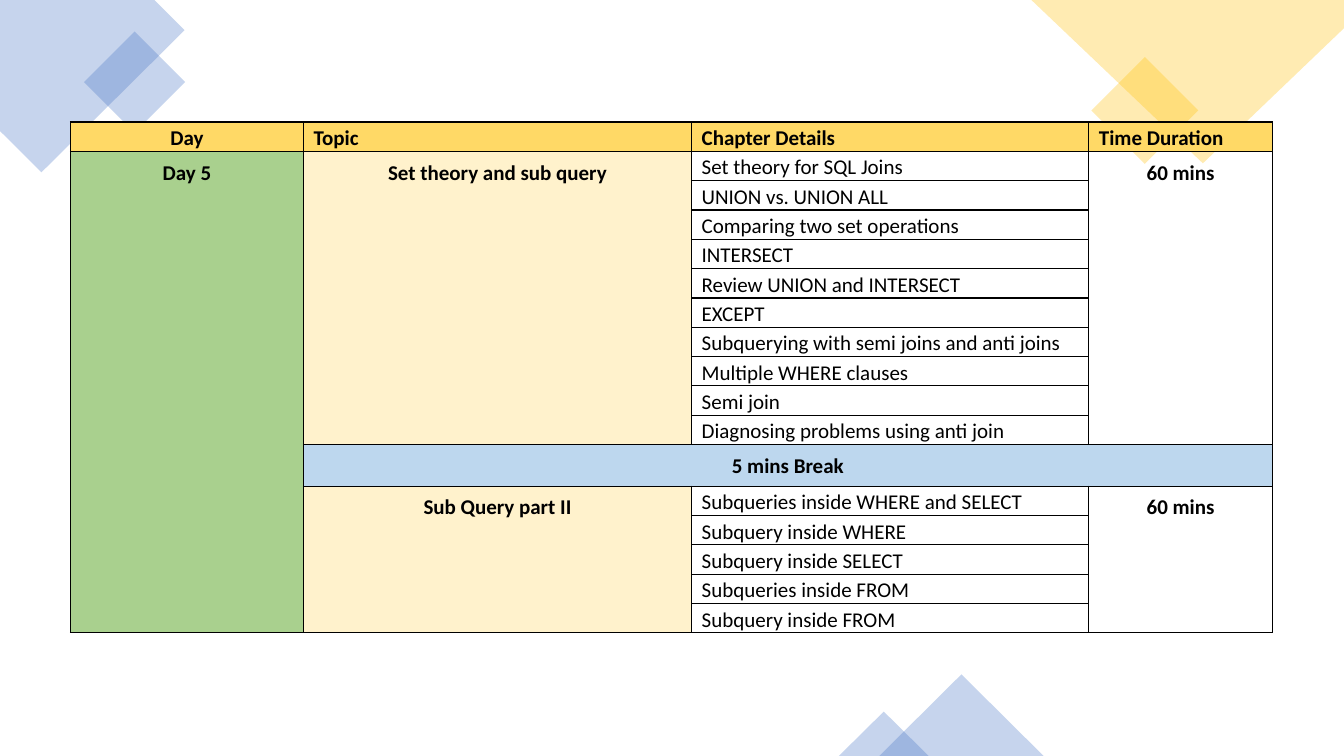
from dataclasses import dataclass

from lxml import etree
from pptx import Presentation
from pptx import util as u
from pptx.dml.color import RGBColor
from pptx.enum import shapes, text
from pptx.oxml.ns import qn

WIDTH, HEIGHT = u.Inches(13.33), u.Inches(7.5)
BLUE, GOLD, BLACK = "4472C4", "FFC000", "000000"
HEADER, GREEN, CREAM, BREAK = "FFD966", "A9D08E", "FFF2CC", "BDD7EE"


@dataclass
class Decoration:
    """Preset shape placed by percentages of the slide's size."""
    kind: int
    left: float
    top: float
    width: float
    height: float
    colour: str
    rotation: float = 0


@dataclass
class Outline:
    """Polygon whose corners are percentages of the slide's size."""
    corners: list[tuple[float, float]]
    colour: str


@dataclass
class Session:
    """One block of the timetable, with a row for each chapter."""
    topic: str
    duration: str
    chapters: list[str]


SQUARE = shapes.MSO_SHAPE.RECTANGLE
TRIANGLE = shapes.MSO_SHAPE.ISOSCELES_TRIANGLE
DECORATIONS = [
    Outline([(0, 0), (11.48, 0), (13.73, 4), (3.08, 22.8), (0, 17.33)], BLUE),
    Decoration(SQUARE, 7.35, 6.13, 5.33, 9.47, BLUE, 315),
    Decoration(SQUARE, 82.37, 9.6, 5.63, 10, GOLD, 315),
    Outline([(76.74, 0), (100, 0), (100, 3.73), (89.5, 21.6)], GOLD),
    Decoration(TRIANGLE, 65.42, 89.2, 12.23, 10.8, BLUE),
    Decoration(TRIANGLE, 62.42, 94.13, 6.68, 5.87, BLUE),
]

HEADINGS = ["Day", "Topic", "Chapter Details", "Time Duration"]
SESSIONS = [
    Session("Set theory and sub query", "60 mins", [
        "Set theory for SQL Joins", "UNION vs. UNION ALL",
        "Comparing two set operations", "INTERSECT",
        "Review UNION and INTERSECT", "EXCEPT",
        "Subquerying with semi joins and anti joins",
        "Multiple WHERE clauses", "Semi join",
        "Diagnosing problems using anti join"]),
    Session("Sub Query part II", "60 mins", [
        "Subqueries inside WHERE and SELECT", "Subquery inside WHERE",
        "Subquery inside SELECT", "Subqueries inside FROM",
        "Subquery inside FROM"]),
]
COLUMNS = [17.33, 28.88, 29.56, 13.65]
ROW, BREAK_ROW = 3.88, 5.44
TABLE_LEFT, TABLE_TOP = 5.25, 16.13


def across(share: float) -> int:
    return round(WIDTH * share / 100)


def down(share: float) -> int:
    return round(HEIGHT * share / 100)


def colour_of(value: str) -> RGBColor:
    return RGBColor.from_string(value)


def apply(target, values: dict) -> None:
    for name, value in values.items():
        setattr(target, name, value)


def draw_decoration(slide, item: Decoration | Outline) -> None:
    if isinstance(item, Outline):
        points = [(across(x), down(y)) for x, y in item.corners]
        builder = slide.shapes.build_freeform(*points[0])
        builder.add_line_segments(points[1:], close=True)
        shape = builder.convert_to_shape()
    else:
        shape = slide.shapes.add_shape(
            item.kind, across(item.left), down(item.top),
            across(item.width), down(item.height))
        shape.rotation = item.rotation
    shape.shadow.inherit = False
    shape.line.fill.background()
    shape.fill.solid()
    shape.fill.fore_color.rgb = colour_of(item.colour)
    tint = shape.fill._xPr.find(qn("a:solidFill"))[0]
    etree.SubElement(tint, qn("a:alpha"), val="30000")


def add_borders(cell) -> None:
    properties = cell._tc.get_or_add_tcPr()
    for index, side in enumerate(("a:lnL", "a:lnR", "a:lnT", "a:lnB")):
        line = etree.Element(qn(side), w=str(u.Pt(1)))
        fill = etree.SubElement(line, qn("a:solidFill"))
        etree.SubElement(fill, qn("a:srgbClr"), val=BLACK)
        properties.insert(index, line)


def write_cell(cell, words: str, fill: str = "", bold: bool = True,
               centred: bool = False, block: bool = False) -> None:
    side, top, bottom = (0.13, 0.07, 0.07) if block else (0.1, 0.01, 0)
    anchor = text.MSO_ANCHOR.TOP if block else text.MSO_ANCHOR.BOTTOM
    apply(cell, {
        "margin_left": u.Inches(side), "margin_right": u.Inches(side),
        "margin_top": u.Inches(top), "margin_bottom": u.Inches(bottom),
        "vertical_anchor": anchor})
    if fill:
        cell.fill.solid()
        cell.fill.fore_color.rgb = colour_of(fill)
    paragraph = cell.text_frame.paragraphs[0]
    apply(paragraph, {
        "line_spacing": 1.07,
        "alignment": text.PP_ALIGN.CENTER if centred else text.PP_ALIGN.LEFT})
    run = paragraph.add_run()
    run.text = words
    apply(run.font, {"name": "Calibri", "size": u.Pt(15), "bold": bold})
    run.font.color.rgb = colour_of(BLACK)


def write_block(table, first: tuple[int, int], last: tuple[int, int],
                words: str, fill: str = "") -> None:
    cell = table.cell(*first)
    cell.merge(table.cell(*last))
    write_cell(cell, words, fill, centred=True, block=True)


def draw_timetable(slide) -> None:
    # Row heights: a header, the chapters, and a taller break between sessions
    heights = [ROW]
    for number, session in enumerate(SESSIONS):
        heights += [BREAK_ROW] * (number > 0) + [ROW] * len(session.chapters)
    table = slide.shapes.add_table(
        len(heights), len(COLUMNS), across(TABLE_LEFT), down(TABLE_TOP),
        across(sum(COLUMNS)), down(sum(heights))).table
    apply(table, {"first_row": False, "horz_banding": False})
    for column, share in zip(table.columns, COLUMNS):
        column.width = across(share)
    for row, share in zip(table.rows, heights):
        row.height = down(share)
    for cell in table.iter_cells():
        cell.fill.background()
        add_borders(cell)

    # Header and day
    for column, heading in enumerate(HEADINGS):
        write_cell(table.cell(0, column), heading, HEADER, centred=column == 0)
    write_block(table, (1, 0), (len(heights) - 1, 0), "Day 5", GREEN)

    # Sessions
    row = 1
    for number, session in enumerate(SESSIONS):
        if number:
            write_block(table, (row, 1), (row, 3), "5 mins Break", BREAK)
            row += 1
        end = row + len(session.chapters) - 1
        write_block(table, (row, 1), (end, 1), session.topic, CREAM)
        write_block(table, (row, 3), (end, 3), session.duration)
        for offset, chapter in enumerate(session.chapters):
            write_cell(table.cell(row + offset, 2), chapter, bold=False)
        row = end + 1


def main() -> None:
    presentation = Presentation()
    apply(presentation, {"slide_width": WIDTH, "slide_height": HEIGHT})
    slide = presentation.slides.add_slide(presentation.slide_layouts[6])
    for item in DECORATIONS:
        draw_decoration(slide, item)
    draw_timetable(slide)
    presentation.save("out.pptx")


if __name__ == "__main__":
    main()
